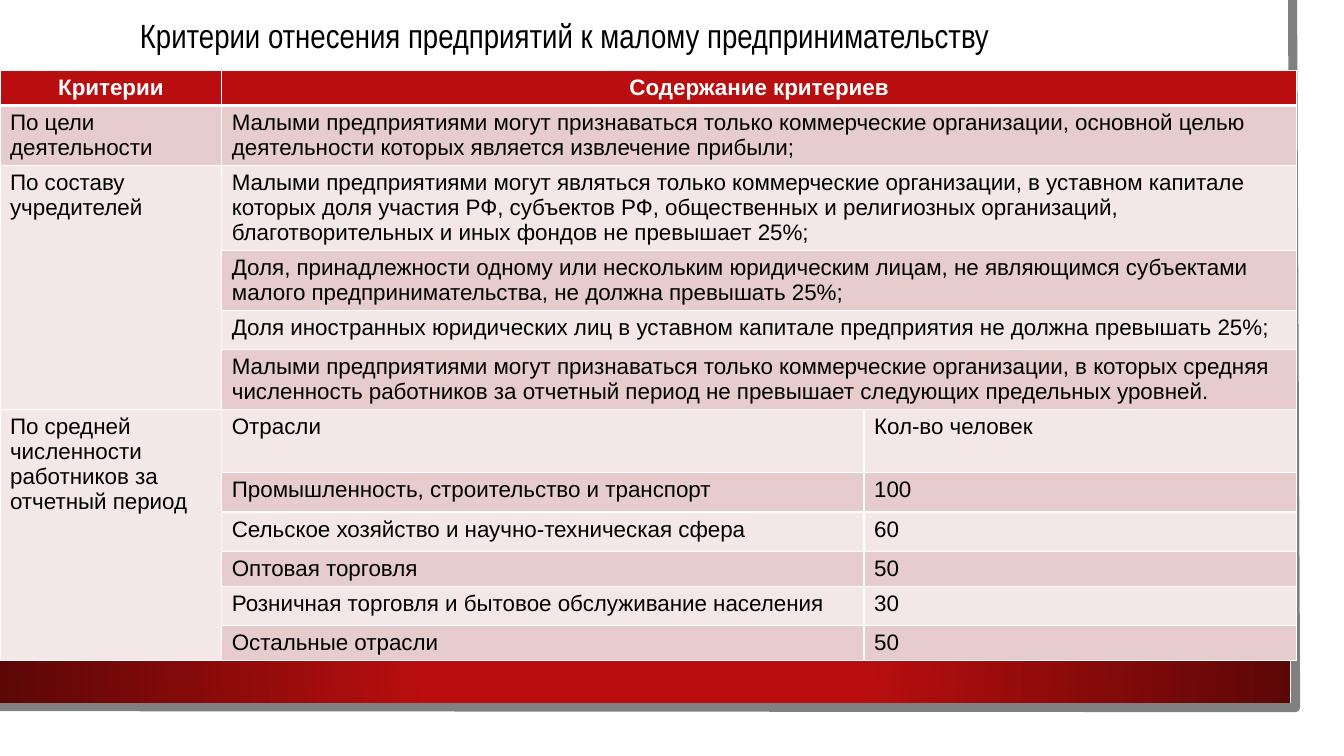
"""Build a slide with the criteria for classing a company as a small business."""
from lxml.etree import SubElement
from pptx import Presentation
from pptx.dml.color import RGBColor
from pptx.enum.text import MSO_AUTO_SIZE, PP_ALIGN
from pptx.enum.shapes import MSO_SHAPE
from pptx.oxml import parse_xml
from pptx.oxml.ns import nsdecls, qn
from pptx.util import Inches, Pt

COLORS = {
    "white": "FFFFFF", "black": "000000", "gray": "808080", "red": "B80E0F",
    "dark_red": "5C0707", "pink": "E6CCCC", "pale": "F3E7E7",
}
COLUMN_WIDTHS = [2.2, 6.37, 4.29]
ROW_HEIGHTS = [0.23, 0.55, 0.71, 0.55, 0.39, 0.55, 0.63, 0.39, 0.39, 0.23, 0.39, 0.23]
CRITERIA = [
    ["Критерии", "Содержание критериев"],
    ["По цели деятельности",
     "Малыми предприятиями могут признаваться только коммерческие организации, "
     "основной целью деятельности которых является извлечение прибыли;"],
    ["По составу учредителей",
     "Малыми предприятиями могут являться только коммерческие организации, в уставном "
     "капитале которых доля участия РФ, субъектов РФ, общественных и религиозных "
     "организаций, благотворительных и иных фондов не превышает 25%;"],
    ["", "Доля, принадлежности одному или нескольким юридическим лицам, не являющимся "
     "субъектами малого предпринимательства, не должна превышать 25%;"],
    ["", "Доля иностранных юридических лиц в уставном капитале предприятия "
     "не должна превышать 25%;"],
    ["", "Малыми предприятиями могут признаваться только коммерческие организации, "
     "в которых средняя численность работников за отчетный период не превышает "
     "следующих предельных уровней."],
    ["По средней численности работников за отчетный период", "Отрасли", "Кол-во человек"],
    ["", "Промышленность, строительство и транспорт", "100"],
    ["", "Сельское хозяйство и научно-техническая сфера", "60"],
    ["", "Оптовая торговля", "50"],
    ["", "Розничная торговля и бытовое обслуживание населения", "30"],
    ["", "Остальные отрасли", "50"],
]
FOUNDERS_ROWS = (2, 5)
HEADCOUNT_ROWS = (6, 11)


def color(name):
    return RGBColor.from_string(COLORS[name])


def write(frame, text, font="Arial", size=16, ink="black", bold=False, align=PP_ALIGN.LEFT):
    paragraph = frame.paragraphs[0]
    paragraph.alignment = align
    run = paragraph.add_run()
    run.text = text
    run.font.name = font
    run.font.size = Pt(size)
    run.font.bold = bold
    run.font.color.rgb = color(ink)


class CriteriaSlide:
    def __init__(self, deck):
        self.slide = deck.slides.add_slide(deck.slide_layouts[6])
        self.shapes = self.slide.shapes

    def panel(self, left, top, width, height, fill):
        panel = self.shapes.add_shape(MSO_SHAPE.RECTANGLE, Inches(left), Inches(top),
                                      Inches(width), Inches(height))
        panel.shadow.inherit = False
        panel.line.fill.background()
        panel.fill.solid()
        panel.fill.fore_color.rgb = color(fill)
        return panel

    def glowing_band(self, left, top, width, height, center, edge):
        band = self.panel(left, top, width, height, center)
        solid = band.fill._xPr.find(qn("a:solidFill"))
        stops = "".join(f'<a:gs pos="{pos}"><a:srgbClr val="{COLORS[name]}"/></a:gs>'
                        for pos, name in ((34000, center), (100000, edge)))
        solid.getparent().replace(solid, parse_xml(
            f'<a:gradFill {nsdecls("a")} rotWithShape="1"><a:gsLst>{stops}</a:gsLst>'
            '<a:path path="circle"><a:fillToRect l="50000" t="50000" r="50000" b="50000"/>'
            '</a:path></a:gradFill>'))

    def outline(self, points, ink, weight):
        start, *rest = [(Inches(x), Inches(y)) for x, y in points]
        builder = self.shapes.build_freeform(*start)
        builder.add_line_segments(rest, close=False)
        edge = builder.convert_to_shape()
        edge.shadow.inherit = False
        edge.fill.background()
        edge.line.color.rgb = color(ink)
        edge.line.width = Pt(weight)

    def title(self, left, top, width, height, text):
        heading = self.shapes.add_textbox(Inches(left), Inches(top),
                                          Inches(width), Inches(height))
        frame = heading.text_frame
        frame.word_wrap = True
        frame.auto_size = MSO_AUTO_SIZE.SHAPE_TO_FIT_TEXT
        write(frame, text, font="Arial Narrow", size=24)

    def style_cell(self, cell, fill, bottom_weight):
        properties = cell._tc.get_or_add_tcPr()
        for side, weight in (("L", 1), ("R", 1), ("T", 1), ("B", bottom_weight)):
            border = SubElement(properties, qn(f"a:ln{side}"), w=str(Pt(weight)))
            SubElement(SubElement(border, qn("a:solidFill")), qn("a:srgbClr"),
                       val=COLORS["white"])
        cell.fill.solid()
        cell.fill.fore_color.rgb = color(fill)

    def table(self, left, top):
        grid = self.shapes.add_table(
            len(CRITERIA), len(COLUMN_WIDTHS), Inches(left), Inches(top),
            Inches(sum(COLUMN_WIDTHS)), Inches(sum(ROW_HEIGHTS))).table
        for column, width in zip(grid.columns, COLUMN_WIDTHS):
            column.width = Inches(width)
        for number, (row, height, texts) in enumerate(zip(grid.rows, ROW_HEIGHTS, CRITERIA)):
            row.height = Inches(height)
            header = number == 0
            fill = "red" if header else ("pale", "pink")[number % 2]
            for cell in row.cells:
                self.style_cell(cell, fill, 3 if header else 1)
            for cell, text in zip(row.cells, texts):
                if text:
                    write(cell.text_frame, text, bold=header,
                          ink="white" if header else "black",
                          align=PP_ALIGN.CENTER if header else PP_ALIGN.LEFT)
            if len(texts) == 2:
                grid.cell(number, 1).merge(grid.cell(number, 2))
        for first, last in (FOUNDERS_ROWS, HEADCOUNT_ROWS):
            grid.cell(first, 0).merge(grid.cell(last, 0))


def main():
    deck = Presentation()
    deck.slide_width, deck.slide_height = Inches(13.33), Inches(7.5)
    page = CriteriaSlide(deck)
    page.panel(0, 0, 13.1, 7.27, "white")
    page.outline([(12.82, 0), (12.85, 7.02), (-0.03, 7.01)], "gray", 6.5)
    page.glowing_band(0, 6.12, 12.8, 0.85, "red", "dark_red")
    page.table(0, 0.7)
    page.title(1.29, 0.1, 10.27, 0.5,
               "Критерии отнесения предприятий к малому предпринимательству")
    deck.save("out.pptx")


if __name__ == "__main__":
    main()
